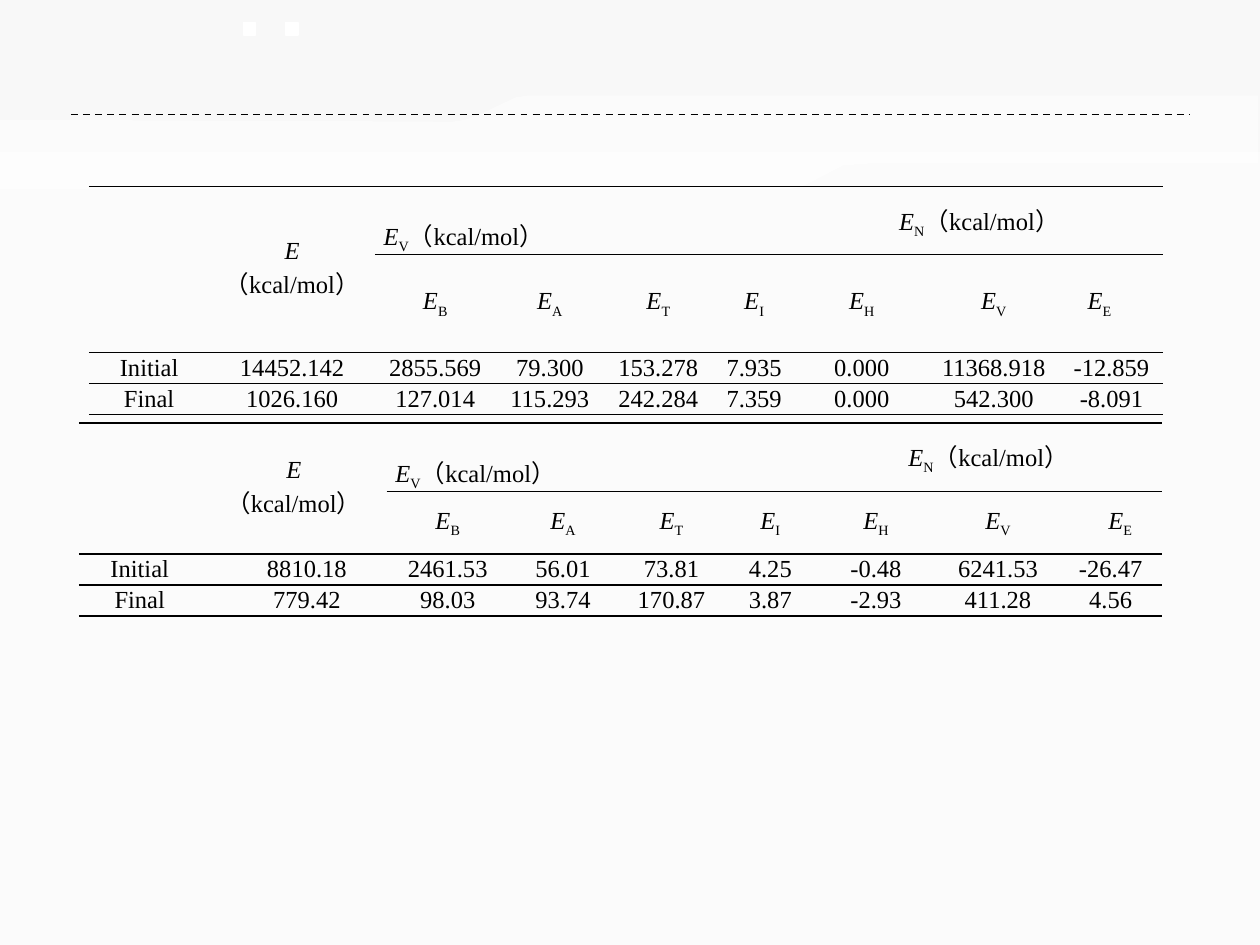
import pptx
import pptx.util
import pptx.oxml
import pptx.oxml.ns
import pptx.dml.color
import pptx.enum.dml
import pptx.enum.shapes
import pptx.enum.text
from lxml import etree

Pt = pptx.util.Pt
qn = pptx.oxml.ns.qn
ALIGN = pptx.enum.text.PP_ALIGN
ANCHOR = pptx.enum.text.MSO_ANCHOR
INK = {"back": "F8F8F8", "pale": "FFFFFF", "line": "000000", "text": "000000"}
FONT = "Times New Roman"
PLAIN = "{2D5ABB26-0587-4C30-8999-92F81FD0307C}"
UNIT = "（kcal/mol）"
TERMS = "BATIHVE"


def tint(name):
    return pptx.dml.color.RGBColor.from_string(INK[name])


def write(frame, *lines, math=False, align=ALIGN.CENTER, indent=0, size=14):
    for i, line in enumerate(lines):
        para = frame.add_paragraph() if i else frame.paragraphs[0]
        para.alignment = align
        if indent:
            para._p.get_or_add_pPr().set("indent", str(Pt(indent)))
        parts = line.split("|") if math else [line]
        for j, part in enumerate(parts):
            if not part:
                continue
            run = para.add_run()
            run.text = part
            run.font.name, run.font.size = FONT, Pt(size)
            run.font.color.rgb = tint("text")
            run.font.italic = math and j == 0
            if math and j == 1:
                run.font._element.set("baseline", "-25000")


def rule(cell, side):
    props = cell._tc.get_or_add_tcPr()
    line = etree.SubElement(props, qn("a:ln" + side), w=str(Pt(1)))
    fill = etree.SubElement(line, qn("a:solidFill"))
    etree.SubElement(fill, qn("a:srgbClr"), val=INK["line"])


def veil(slide, box, points):
    left, top, width, height = box
    spots = [(Pt(left + x * width), Pt(top + y * height)) for x, y in points]
    build = slide.shapes.build_freeform(*spots[0], scale=1.0)
    build.add_line_segments(spots[1:], close=True)
    shape = build.convert_to_shape()
    shape.shadow.inherit = False
    shape.fill.solid()
    shape.fill.fore_color.rgb = tint("pale")
    color = shape._element.spPr.find(".//" + qn("a:srgbClr"))
    etree.SubElement(color, qn("a:alpha"), val="50000")
    shape.line.fill.background()


def dash(slide, left, top, width):
    line = slide.shapes.add_connector(
        pptx.enum.shapes.MSO_CONNECTOR.STRAIGHT,
        Pt(left), Pt(top), Pt(left + width), Pt(top))
    line.line.color.rgb = tint("line")
    line.line.width = Pt(1)
    line.line.dash_style = pptx.enum.dml.MSO_LINE.DASH
    etree.SubElement(line._element.spPr, qn("a:effectLst"))


def dot(slide, left, top, side):
    shape = slide.shapes.add_shape(
        pptx.enum.shapes.MSO_SHAPE.RECTANGLE, Pt(left), Pt(top), Pt(side), Pt(side))
    shape.shadow.inherit = False
    shape.fill.solid()
    shape.fill.fore_color.rgb = tint("pale")
    shape.line.color.rgb = tint("pale")
    shape.line.width = Pt(0.75)


def grid(slide, left, top, cols, rows, data, last, shift):
    frame = slide.shapes.add_table(
        len(rows), len(cols), Pt(left), Pt(top), Pt(sum(cols)), Pt(sum(rows)))
    table = frame.table
    table.first_row = table.horz_banding = False
    table._tbl.tblPr.find(qn("a:tableStyleId")).text = PLAIN
    for col, width in zip(table.columns, cols):
        col.width = Pt(width)
    for row, height in zip(table.rows, rows):
        row.height = Pt(height)
    for r in range(len(rows)):
        for c in range(len(cols)):
            cell = table.cell(r, c)
            cell.margin_left = cell.margin_right = Pt(5)
            cell.margin_top = cell.margin_bottom = 0
            cell.vertical_anchor = ANCHOR.MIDDLE
            if r in (0, 2) or (r == 1 and c > 1):
                rule(cell, "T")
            if r in (1, 3) or (r == 0 and c > 1):
                rule(cell, "B")
            cell.fill.background()
    for start, end in (((0, 0), (1, 0)), ((0, 1), (1, 1)), ((0, 2), (0, 5)), ((0, 6), (0, 8))):
        table.cell(*start).merge(table.cell(*end))
    write(table.cell(0, 1).text_frame, "E", "||" + UNIT, math=True)
    bond = table.cell(0, 2)
    bond.vertical_anchor = ANCHOR.BOTTOM
    write(bond.text_frame, "E|V|" + UNIT, math=True, align=ALIGN.LEFT)
    write(table.cell(0, 6).text_frame, "E|N|" + UNIT, math=True)
    for c, term in enumerate(TERMS, 2):
        end = c == len(cols) - 1
        write(table.cell(1, c).text_frame, "E|" + term, math=True,
              align=last if end else ALIGN.CENTER, indent=10.8 if end else 0)
    for r, line in enumerate(data, 2):
        for c, value in enumerate(line.split()):
            write(table.cell(r, c).text_frame, value, indent=shift if c == 1 else 0)


def main():
    deck = pptx.Presentation()
    deck.slide_width, deck.slide_height = Pt(720), Pt(540)
    slide = deck.slides.add_slide(deck.slide_layouts[6])
    slide.background.fill.solid()
    slide.background.fill.fore_color.rgb = tint("back")
    veil(slide, (0, 87, 722, 453), [(0, 1), (1, 1), (1, 0), (0, 0)])
    veil(slide, (0, 54.5, 719, 53.5), [
        (1, 0), (0.42, 0), (0.41, 0.02), (0.38, 0.21), (0.37, 0.26), (0.36, 0.28),
        (0, 0.26), (0, 1), (0.63, 1), (0.64, 0.96), (0.67, 0.75), (0.69, 0.73), (1, 0.73)])
    dash(slide, 40.5, 65.5, 639)
    grid(slide, 50.75, 106.5, [69, 94.5, 69, 62, 62, 47.5, 75.5, 75.5, 59],
         [39, 56, 17.75, 17.75],
         ["Initial 14452.142 2855.569 79.300 153.278 7.935 0.000 11368.918 -12.859",
          "Final 1026.160 127.014 115.293 242.284 7.359 0.000 542.300 -8.091"],
         ALIGN.JUSTIFY, 0)
    dot(slide, 163.25, 13, 7)
    grid(slide, 45, 241.75, [69.75, 106.25, 69.75, 62, 62, 51, 69.75, 69.75, 59],
         [39, 35.5, 17.75, 17.75],
         ["Initial 8810.18 2461.53 56.01 73.81 4.25 -0.48 6241.53 -26.47",
          "Final 779.42 98.03 93.74 170.87 3.87 -2.93 411.28 4.56"],
         ALIGN.CENTER, 15)
    dot(slide, 139, 13, 7)
    deck.save("out.pptx")


if __name__ == "__main__":
    main()
